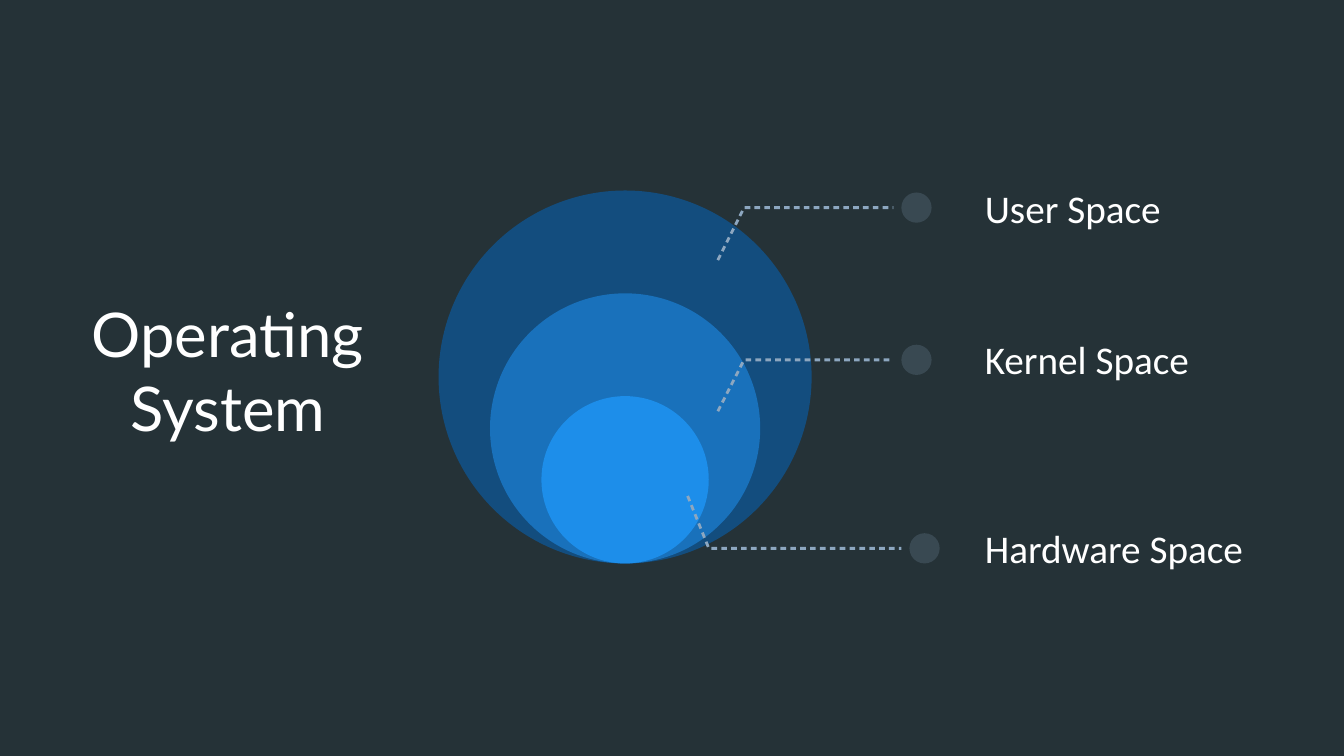
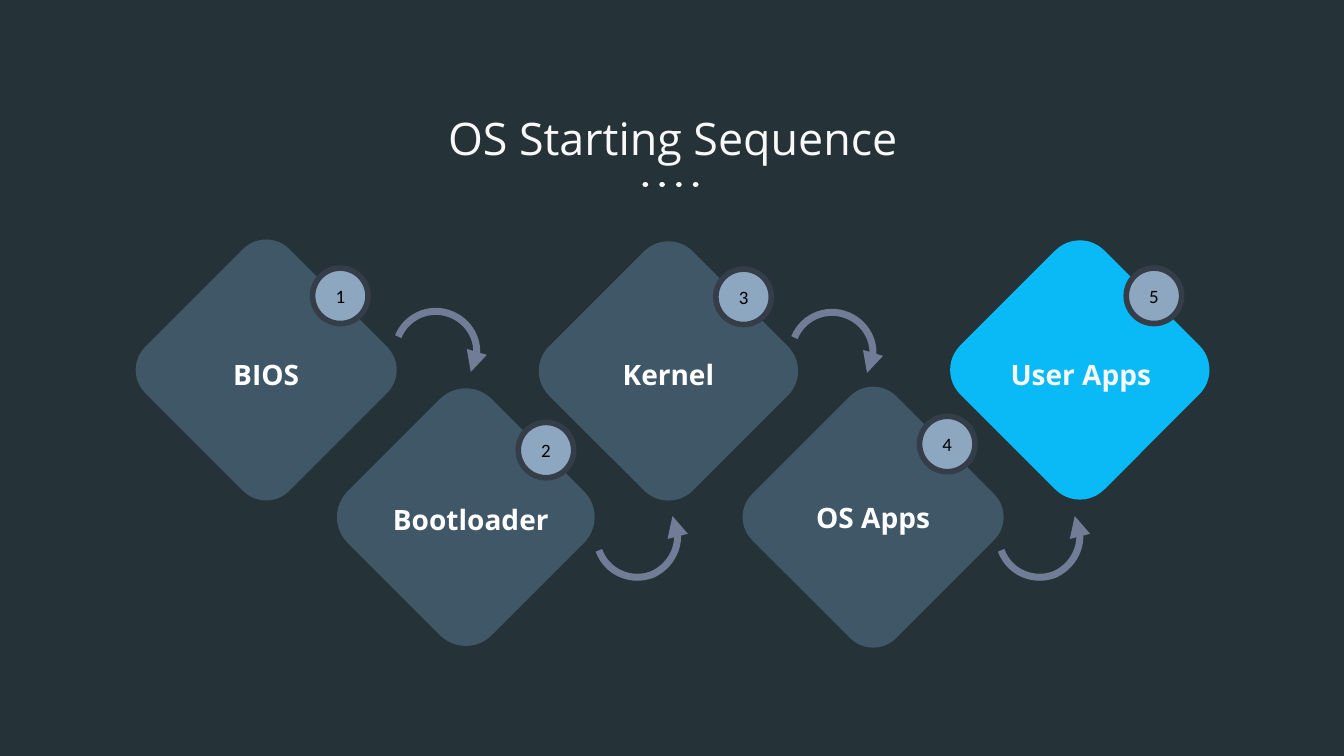
import pptx
import pptx.dml.color
import pptx.enum.shapes
import pptx.enum.text
import pptx.oxml
import pptx.oxml.ns
import pptx.shapes.connector
import pptx.util
from dataclasses import dataclass

Inches = pptx.util.Inches
SHAPE = pptx.enum.shapes.MSO_SHAPE
ALIGN = pptx.enum.text.PP_ALIGN
ANCHOR = pptx.enum.text.MSO_ANCHOR


@dataclass(frozen=True)
class Theme:
    background: str = "253237"
    white: str = "FFFFFF"
    soft_white: str = "F8F8F8"
    black: str = "000000"
    rings: tuple = ("134D7E", "1971BB", "1D8EEA")
    steel: str = "8DA7C0"
    diamond: str = "3F5766"
    highlight: str = "09BAF7"
    badge_edge: str = "353D49"
    arrow: str = "717C97"
    body_font: str = "Calibri"
    name_font: str = "Lato"
    title_font: str = "Open Sans"
    name_size: float = 44
    title_size: float = 32
    layer_size: float = 28
    step_size: float = 20
    badge_size: float = 13.5


theme = Theme()


def paint(shape, fill=None, line=None, width=0, dash=None, arrow=False):
    """Set fill and line, without shadow; dash is (mark, gap) in line widths."""
    if not isinstance(shape, pptx.shapes.connector.Connector):
        if fill:
            shape.fill.solid()
            shape.fill.fore_color.rgb = pptx.dml.color.RGBColor.from_string(fill)
        else:
            shape.fill.background()
    if line:
        shape.line.color.rgb = pptx.dml.color.RGBColor.from_string(line)
        shape.line.width = pptx.util.Pt(width)
    else:
        shape.line.fill.background()
    properties = shape._element.spPr
    outline = properties.find(pptx.oxml.ns.qn("a:ln"))
    namespace = pptx.oxml.ns.nsdecls("a")
    if dash:
        mark, gap = (round(part * 100000) for part in dash)
        outline.append(pptx.oxml.parse_xml(
            f'<a:custDash {namespace}><a:ds d="{mark}" sp="{gap}"/></a:custDash>'))
    if arrow:
        outline.append(pptx.oxml.parse_xml(f'<a:tailEnd {namespace} type="triangle"/>'))
    properties.append(pptx.oxml.parse_xml(f"<a:effectLst {namespace}/>"))


def write_text(shape, lines, size, font, color, bold=False, align=ALIGN.CENTER,
               anchor=ANCHOR.TOP, margin=0.0, wrap=True, spacing=None):
    frame = shape.text_frame
    frame.word_wrap = wrap
    frame.vertical_anchor = anchor
    if not wrap:
        frame.auto_size = pptx.enum.text.MSO_AUTO_SIZE.SHAPE_TO_FIT_TEXT
    if margin is not None:
        frame.margin_left = frame.margin_right = Inches(margin)
        frame.margin_top = frame.margin_bottom = Inches(margin)
    for index, line in enumerate(lines):
        paragraph = frame.add_paragraph() if index else frame.paragraphs[0]
        paragraph.alignment = align
        if spacing:
            paragraph.line_spacing = spacing
        run = paragraph.add_run()
        run.text = line
        run.font.size = pptx.util.Pt(size)
        run.font.name = font
        run.font.bold = bold
        run.font.color.rgb = pptx.dml.color.RGBColor.from_string(color)


presentation = pptx.Presentation()
presentation.slide_width = Inches(13.33)
presentation.slide_height = Inches(7.5)
background = presentation.slide_master.background.fill
background.solid()
background.fore_color.rgb = pptx.dml.color.RGBColor.from_string(theme.background)
blank = presentation.slide_layouts[6]

# Operating system layers: circles that share their lowest point
shapes = presentation.slides.add_slide(blank).shapes
ring_center, ring_bottom = 6.2, 5.59
for diameter, color in zip((3.7, 2.68, 1.66), theme.rings):
    ring = shapes.add_shape(
        SHAPE.OVAL, Inches(ring_center - diameter / 2), Inches(ring_bottom - diameter),
        Inches(diameter), Inches(diameter))
    paint(ring, color)

# name, start, bend, end of the leader, top and width of the label
layers = [
    ("User Space", (7.12, 2.58), (7.38, 2.06), 8.86, 1.78, 1.97),
    ("Kernel Space", (7.12, 4.08), (7.38, 3.57), 8.86, 3.28, 2.24),
    ("Hardware Space", (6.82, 4.92), (7.03, 5.44), 8.94, 5.15, 2.79),
]
marker_size = 0.3
for name, start, bend, leader_end, label_top, label_width in layers:
    builder = shapes.build_freeform(Inches(start[0]), Inches(start[1]))
    builder.add_line_segments(
        [(Inches(x), Inches(y)) for x, y in (bend, (leader_end, bend[1]))], close=False)
    paint(builder.convert_to_shape(), line=theme.steel, width=2, dash=(2, 1.5))

    marker = shapes.add_shape(
        SHAPE.OVAL, Inches(leader_end + 0.08), Inches(bend[1] - marker_size / 2),
        Inches(marker_size), Inches(marker_size))
    paint(marker, theme.steel)
    marker_color = marker._element.spPr.find(
        pptx.oxml.ns.qn("a:solidFill")).find(pptx.oxml.ns.qn("a:srgbClr"))
    marker_color.append(pptx.oxml.parse_xml(
        f'<a:alpha {pptx.oxml.ns.nsdecls("a")} val="20000"/>'))

    label = shapes.add_textbox(
        Inches(9.67), Inches(label_top), Inches(label_width), Inches(0.57))
    write_text(label, [name], theme.layer_size, theme.body_font, theme.white,
               align=ALIGN.LEFT, margin=None, wrap=False)

system_name = shapes.add_textbox(Inches(0.72), Inches(2.89), Inches(3.08), Inches(1.58))
write_text(system_name, ["Operating", "System"], theme.name_size, theme.name_font,
           theme.white, margin=None, wrap=False)

# Starting sequence
shapes = presentation.slides.add_slide(blank).shapes
diamond_size, badge_diameter, label_width = 2.02, 0.55, 1.77
# name, diamond corner, corner rounding, badge corner, label centre and top
steps = [
    ("BIOS", (1.63, 2.66), 0.16, (3.1, 2.66), (2.64, 3.51)),
    ("Bootloader", (3.61, 4.12), 0.18, (5.14, 4.19), (4.67, 4.95)),
    ("Kernel", (5.62, 2.67), 0.17, (7.1, 2.67), (6.63, 3.51)),
    ("OS Apps", (7.65, 4.12), 0.16, (9.12, 4.13), (8.66, 4.93)),
    ("User Apps", (9.7, 2.66), 0.17, (11.17, 2.66), (10.72, 3.51)),
]
for number, (name, corner, rounding, badge_corner, label_place) in enumerate(steps, 1):
    is_last = number == len(steps)
    diamond = shapes.add_shape(
        SHAPE.ROUNDED_RECTANGLE, Inches(corner[0]), Inches(corner[1]),
        Inches(diamond_size), Inches(diamond_size))
    diamond.rotation = 315
    diamond.adjustments[0] = rounding
    paint(diamond, theme.highlight if is_last else theme.diamond)

    badge = shapes.add_shape(
        SHAPE.OVAL, Inches(badge_corner[0]), Inches(badge_corner[1]),
        Inches(badge_diameter), Inches(badge_diameter))
    paint(badge, theme.steel, theme.badge_edge, 4)
    write_text(badge, [str(number)], theme.badge_size, theme.body_font, theme.black,
               anchor=ANCHOR.MIDDLE)

    label = shapes.add_textbox(
        Inches(label_place[0] - label_width / 2), Inches(label_place[1]),
        Inches(label_width), Inches(0.5))
    write_text(label, [name], theme.step_size, theme.title_font,
               theme.soft_white if is_last else theme.white, bold=True, spacing=1.1)

title = shapes.add_textbox(Inches(4.32), Inches(1.07), Inches(4.71), Inches(0.59))
write_text(title, ["OS Starting Sequence"], theme.title_size, theme.title_font,
           theme.soft_white, anchor=ANCHOR.MIDDLE, margin=0.03, wrap=False)

dots = shapes.add_connector(
    pptx.enum.shapes.MSO_CONNECTOR.STRAIGHT,
    Inches(6.4), Inches(1.83), Inches(6.94), Inches(1.83))
paint(dots, line=theme.white, width=4, dash=(1, 2))
dots.line._get_or_add_ln().set("cap", "rnd")

# Each arrow is two Bezier curves, given relative to its start
downward = [(0, 0), (0.09, -0.22), (0.35, -0.32), (0.57, -0.2),
            (0.77, -0.09), (0.84, 0.16), (0.72, 0.35)]
upward = [(0, 0), (0.08, 0.22), (0.32, 0.32), (0.53, 0.24),
          (0.75, 0.14), (0.85, -0.12), (0.73, -0.34)]
pieces = 16
for left, top, curve in ((3.95, 3.34, downward), (5.94, 5.46, upward),
                         (7.88, 3.35, downward), (9.93, 5.46, upward)):
    points = []
    for first in (0, 3):
        for piece in range(1, pieces + 1):
            t = piece / pieces
            weights = ((1 - t) ** 3, 3 * t * (1 - t) ** 2, 3 * t ** 2 * (1 - t), t ** 3)
            x, y = (sum(weight * point[axis]
                        for weight, point in zip(weights, curve[first:first + 4]))
                    for axis in (0, 1))
            points.append((Inches(left + x), Inches(top + y)))
    builder = shapes.build_freeform(Inches(left), Inches(top))
    builder.add_line_segments(points, close=False)
    paint(builder.convert_to_shape(), line=theme.arrow, width=5, arrow=True)

presentation.save("out.pptx")
